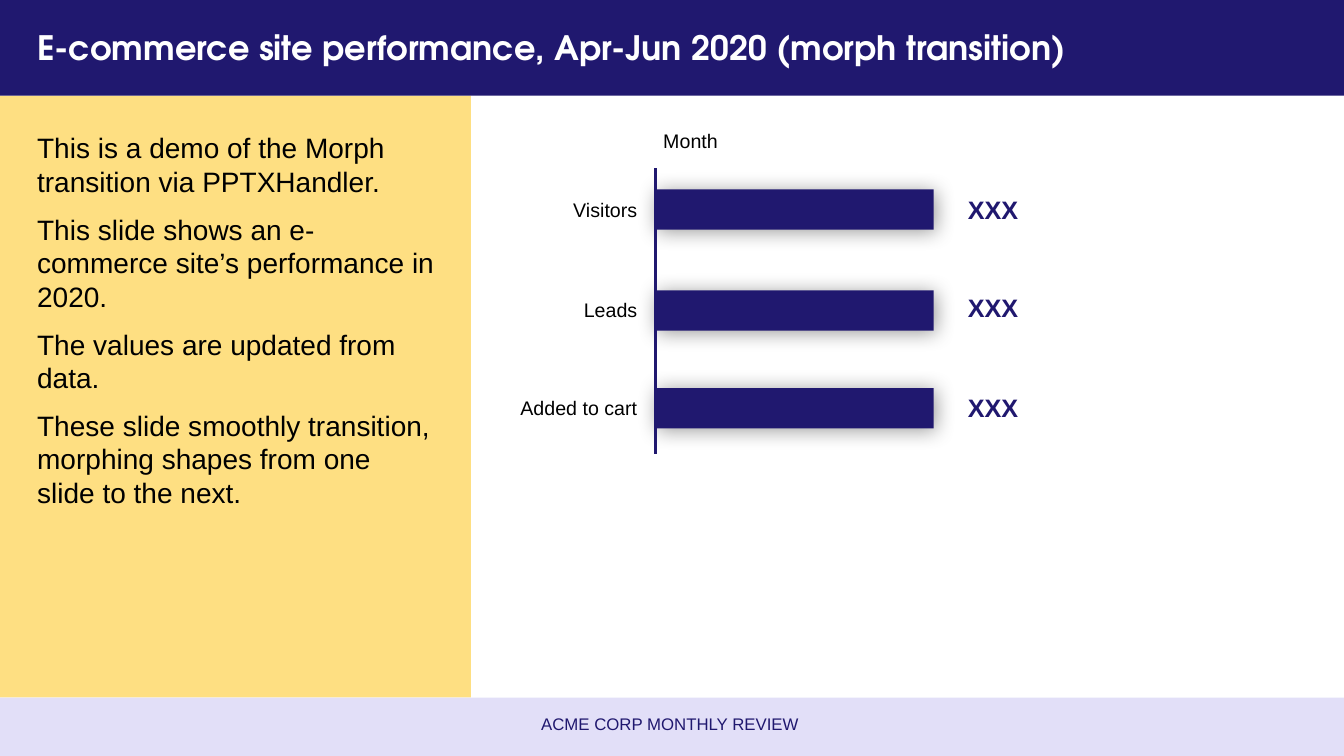
import pptx
import pptx.util
import pptx.dml.color
import pptx.enum.shapes
import pptx.enum.text
import pptx.oxml
import lxml.etree

Inches = pptx.util.Inches
Align = pptx.enum.text.PP_ALIGN
Anchor = pptx.enum.text.MSO_ANCHOR

COLORS = {"navy": "20186F", "amber": "FEC107", "lilac": "C6C1F2",
          "white": "FFFFFF", "black": "000000"}
TITLE = "E-commerce site performance, Apr-Jun 2020 (morph transition)"
STORY = [
    "This is a demo of the Morph transition via PPTXHandler.",
    "This slide shows an e-commerce site’s performance in 2020.",
    "The values are updated from data.",
    "These slide smoothly transition, morphing shapes from one slide to the next.",
]
FOOTER = "ACME CORP MONTHLY REVIEW"
AXIS_TITLE = "Month"
# label, value, top of bar, top of value
METRICS = [("Visitors", "XXX", 1.88, 1.88), ("Leads", "XXX", 2.88, 2.85),
           ("Added to cart", "XXX", 3.85, 3.84)]
# left, top, width, height, colour, opacity in percent
PANELS = [(0, 0.95, 4.67, 5.97, "amber", 50),
          (0, 6.92, 13.33, 0.6, "lilac", 50),
          (0, 0, 13.33, 0.95, "navy", 100)]
AXIS_X, AXIS_TOP, AXIS_BOTTOM = 6.5, 1.67, 4.5
BAR_WIDTH, BAR_HEIGHT = 2.76, 0.4
LABEL_WIDTH, LABEL_HEIGHT = 1.5, 0.34
DRAWING = "http://schemas.openxmlformats.org/drawingml/2006/main"
SHADOW = (f'<a:effectLst xmlns:a="{DRAWING}">'
          '<a:outerShdw blurRad="190500" dist="25400" dir="2700000" algn="tl" rotWithShape="0">'
          f'<a:srgbClr val="{COLORS["black"]}"><a:alpha val="40000"/></a:srgbClr>'
          '</a:outerShdw></a:effectLst>')


def rgb(name):
    return pptx.dml.color.RGBColor.from_string(COLORS[name])


def add_block(left, top, width, height, color, opacity=100):
    block = slide.shapes.add_shape(pptx.enum.shapes.MSO_SHAPE.RECTANGLE, Inches(left),
                                   Inches(top), Inches(width), Inches(height))
    block.shadow.inherit = False
    block.fill.solid()
    block.fill.fore_color.rgb = rgb(color)
    block.line.fill.background()
    if opacity < 100:
        fill_color = block.fill._xPr.find(f".//{{{DRAWING}}}srgbClr")
        alpha = lxml.etree.SubElement(fill_color, f"{{{DRAWING}}}alpha")
        alpha.set("val", str(opacity * 1000))
    return block


def write(shape, texts, size, color="black", font="Arial", bold=False,
          align=Align.LEFT, anchor=Anchor.TOP, wrap=True, space_before=0):
    frame = shape.text_frame
    frame.word_wrap = wrap
    frame.auto_size = pptx.enum.text.MSO_AUTO_SIZE.NONE
    frame.vertical_anchor = anchor
    for index, text in enumerate(texts):
        paragraph = frame.add_paragraph() if index else frame.paragraphs[0]
        paragraph.alignment = align
        paragraph.space_before = pptx.util.Pt(space_before)
        run = paragraph.add_run()
        run.text = text
        run.font.size = pptx.util.Pt(size)
        run.font.name = font
        run.font.bold = bold
        run.font.color.rgb = rgb(color)


def add_text(left, top, width, height, texts, size, **style):
    box = slide.shapes.add_textbox(Inches(left), Inches(top), Inches(width), Inches(height))
    write(box, texts, size, **style)


presentation = pptx.Presentation()
presentation.slide_width, presentation.slide_height = Inches(13.33), Inches(7.5)
slide = presentation.slides.add_slide(presentation.slide_layouts[5])

# Background panels, kept behind the title
for panel in PANELS:
    add_block(*panel)
title = slide.shapes.title
slide.shapes._spTree.append(title._element)
title.left, title.top = Inches(0.27), Inches(0.12)
title.width, title.height = Inches(12.8), Inches(0.7)
write(title, [TITLE], 24, color="white", font="TeX Gyre Adventor", bold=True,
      anchor=Anchor.MIDDLE)

# Story and footer
add_text(0.27, 1.25, 4.15, 5.6, STORY, 20, space_before=10)
add_text(2.04, 6.98, 9.21, 0.4, [FOOTER], 12, color="navy", align=Align.CENTER,
         anchor=Anchor.MIDDLE)

# Bars with labels and values
for label, value, bar_top, value_top in METRICS:
    bar = add_block(AXIS_X, bar_top, BAR_WIDTH, BAR_HEIGHT, "navy")
    properties = bar._element.spPr
    properties.remove(properties.find(f"{{{DRAWING}}}effectLst"))
    properties.append(pptx.oxml.parse_xml(SHADOW))
    add_text(AXIS_X - 0.08 - LABEL_WIDTH, bar_top + (BAR_HEIGHT - LABEL_HEIGHT) / 2,
             LABEL_WIDTH, LABEL_HEIGHT, [label], 14, align=Align.RIGHT)
    add_text(9.5, value_top, 0.71, 0.4, [value], 18, color="navy", bold=True, wrap=False)

# Axis and its title
axis = slide.shapes.add_connector(pptx.enum.shapes.MSO_CONNECTOR.STRAIGHT, Inches(AXIS_X),
                                  Inches(AXIS_TOP), Inches(AXIS_X), Inches(AXIS_BOTTOM))
axis.line.color.rgb = rgb("navy")
axis.line.width = pptx.util.Pt(2)
lxml.etree.SubElement(axis._element.spPr, f"{{{DRAWING}}}effectLst")
add_text(6.48, 1.23, 1.97, LABEL_HEIGHT, [AXIS_TITLE], 14)

presentation.save("out.pptx")
